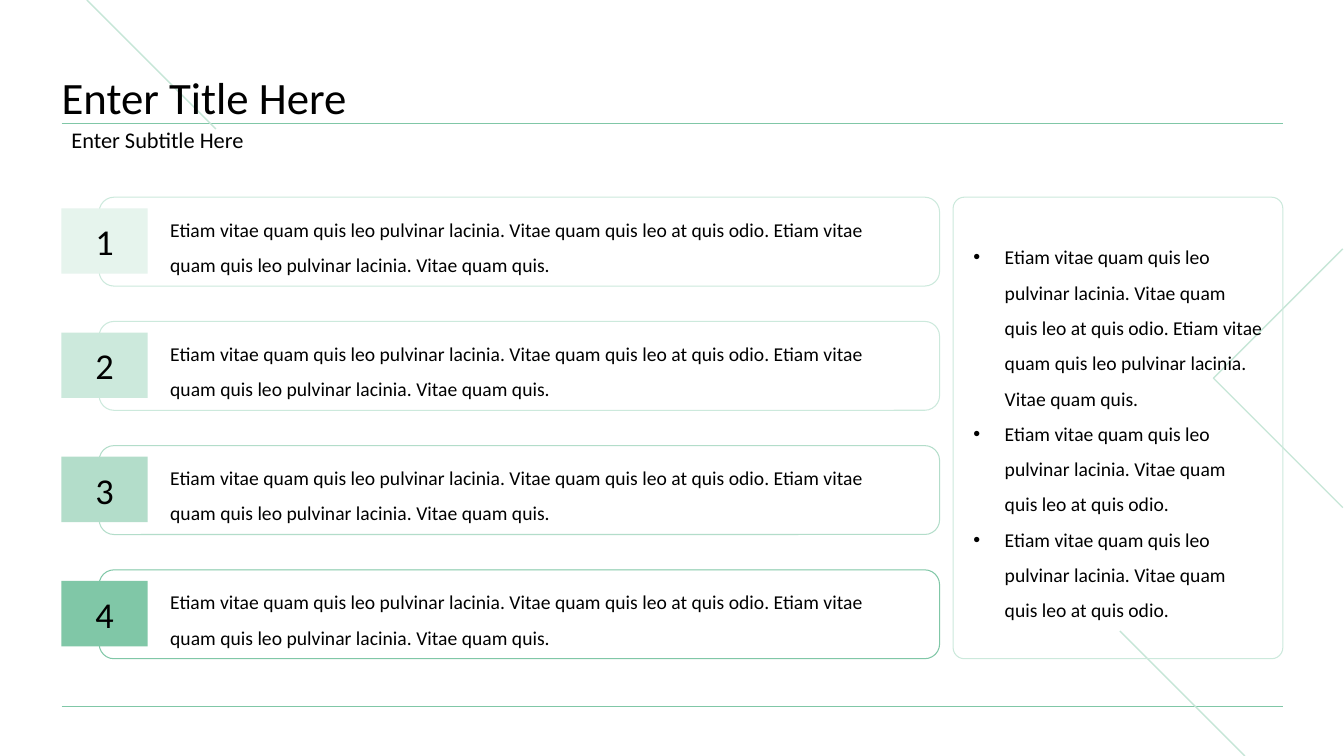
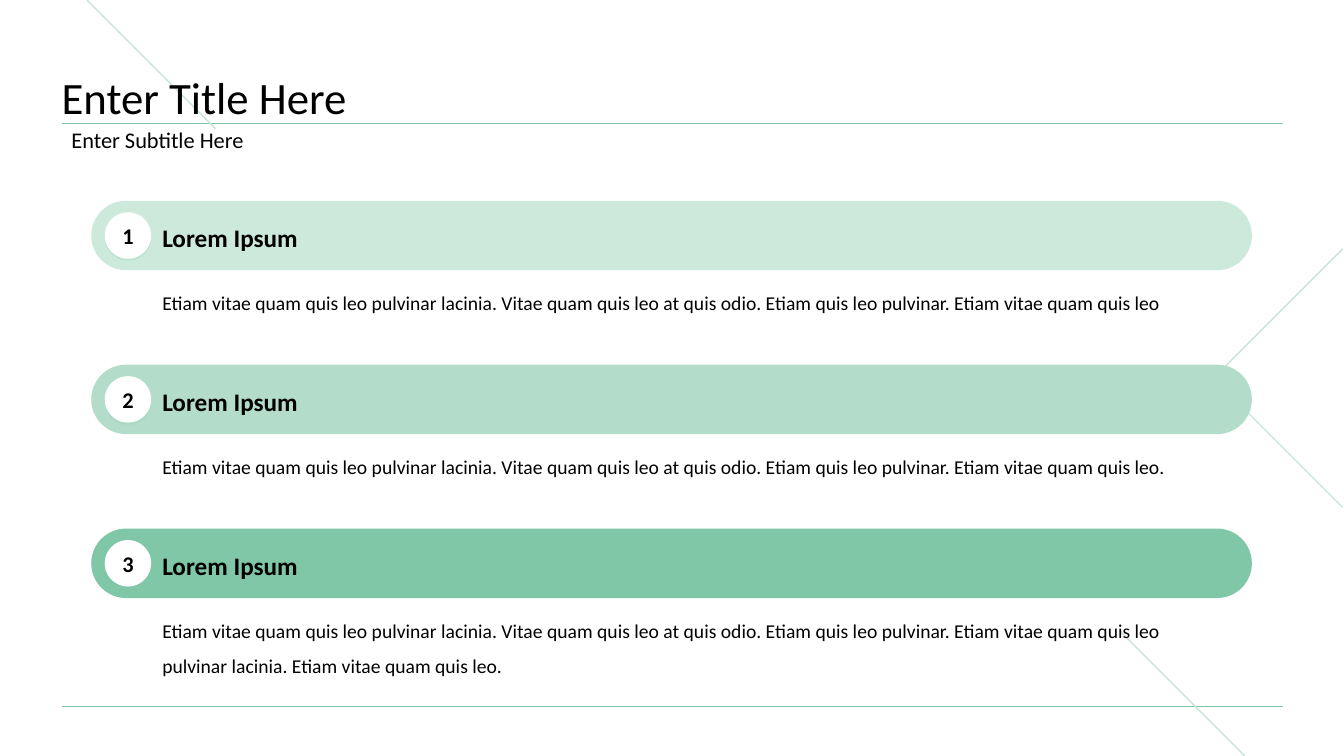
import lxml.etree
import pptx
import pptx.dml.color
import pptx.enum.shapes
import pptx.enum.text
import pptx.oxml.ns
import pptx.util

Cm = pptx.util.Cm
Pt = pptx.util.Pt
SHAPES = pptx.enum.shapes.MSO_SHAPE
ANCHOR = pptx.enum.text.MSO_ANCHOR
ALIGN = pptx.enum.text.PP_ALIGN
qn = pptx.oxml.ns.qn

FONT = "Calibri"
COLORS = {
    "text": "000000",
    "white": "FFFFFF",
    "mist": "E6F4ED",
    "pale": "CCE9DC",
    "soft": "B3DDCA",
    "strong": "80C7A7",
    "accent": "C6E6D7",
}

# Shared page frame, in centimetres
PAGE_WIDTH, PAGE_HEIGHT = 33.87, 19.05
MARGIN = 1.55
CONTENT_WIDTH = 30.78
CONTENT_RIGHT = MARGIN + CONTENT_WIDTH
TITLE_RULE, FOOTER_RULE = 3.12, 17.8

SHORT_POINT = "Etiam vitae quam quis leo pulvinar lacinia. Vitae quam quis leo at quis odio."
LONG_POINT = SHORT_POINT + (
    " Etiam vitae quam quis leo pulvinar lacinia. Vitae quam quis.")
DETAIL = SHORT_POINT + " Etiam quis leo pulvinar. Etiam vitae quam quis leo"


def color(name):
    return pptx.dml.color.RGBColor.from_string(COLORS[name])


def box(left, top, width, height):
    return Cm(left), Cm(top), Cm(width), Cm(height)


def place(placeholder, *area):
    (placeholder.left, placeholder.top,
     placeholder.width, placeholder.height) = box(*area)


def write(shape, paragraphs, size, bold=False, align=ALIGN.LEFT,
          anchor=ANCHOR.MIDDLE, spacing=1.0, before=0, insets=(0.25, 0.13)):
    frame = shape.text_frame
    frame.text = "\n".join(paragraphs)
    frame.word_wrap = True
    frame.auto_size = pptx.enum.text.MSO_AUTO_SIZE.NONE
    frame.vertical_anchor = anchor
    frame.margin_left = frame.margin_right = Cm(insets[0])
    frame.margin_top = frame.margin_bottom = Cm(insets[1])
    for paragraph in frame.paragraphs:
        paragraph.alignment = align
        paragraph.line_spacing = spacing
        paragraph.space_before = Pt(before)
        for run in paragraph.runs:
            run.font.name = FONT
            run.font.size = Pt(size)
            run.font.bold = bold
            run.font.color.rgb = color("text")


def indent(shape, left, first, bulleted):
    for paragraph in shape.text_frame.paragraphs:
        properties = paragraph._p.get_or_add_pPr()
        properties.set("marL", str(Cm(left)))
        properties.set("indent", str(Cm(first)))
        if not bulleted:
            lxml.etree.SubElement(properties, qn("a:buNone"))


def add_text(slide, area, text, size, **style):
    label = slide.shapes.add_textbox(*box(*area))
    write(label, [text], size, **style)


def paint(shape, fill=None, line=None, weight=0.75):
    if fill:
        shape.fill.solid()
        shape.fill.fore_color.rgb = color(fill)
    else:
        shape.fill.background()
    if line:
        shape.line.color.rgb = color(line)
        shape.line.width = Pt(weight)
    else:
        shape.line.fill.background()
    shape.shadow.inherit = False


def add_block(slide, kind, area, fill=None, line=None, rounding=None):
    block = slide.shapes.add_shape(kind, *box(*area))
    if rounding is not None:
        block.adjustments[0] = rounding
    paint(block, fill, line)
    return block


def add_rule(slide, start, end, line, weight):
    rule = slide.shapes.add_connector(
        pptx.enum.shapes.MSO_CONNECTOR.STRAIGHT,
        *(Cm(value) for value in start + end))
    rule.line.color.rgb = color(line)
    rule.line.width = Pt(weight)
    lxml.etree.SubElement(rule._element.spPr, qn("a:effectLst"))
    return rule


def add_drop_shadow(shape):
    effects = shape._element.spPr.find(qn("a:effectLst"))
    shadow = lxml.etree.SubElement(
        effects, qn("a:outerShdw"), blurRad="0", dist=str(Pt(1.5)),
        dir="5400000", algn="t", rotWithShape="0")
    tint = lxml.etree.SubElement(shadow, qn("a:srgbClr"), val=COLORS["strong"])
    lxml.etree.SubElement(tint, qn("a:alpha"), val="20000")


def add_chevron(slide, tip_x, tip_y, reach):
    builder = slide.shapes.build_freeform(
        Cm(tip_x + reach), Cm(tip_y - reach))
    builder.add_line_segments(
        [(Cm(tip_x), Cm(tip_y)), (Cm(tip_x + reach), Cm(tip_y + reach))],
        close=False)
    chevron = builder.convert_to_shape()
    paint(chevron, line="accent", weight=1)
    return chevron


def decorate_master(prs, slide):
    """Draw the rules and diagonals, then move them to the master."""
    decorations = [
        add_rule(slide, (MARGIN, y), (CONTENT_RIGHT, y), "strong", 0.5)
        for y in (FOOTER_RULE, TITLE_RULE)]
    for x, y, length in ((28.22, 15.9, 3.15), (2.19, 0, 3.25)):
        decorations.append(add_rule(
            slide, (x, y), (x + length, y + length), "accent", 1))
    decorations.append(add_chevron(slide, 30.58, 9.53, 3.26))
    for number, decoration in enumerate(decorations, start=100):
        decoration._element.xpath(".//p:cNvPr")[0].set("id", str(number))
        prs.slide_master.shapes.element.append(decoration._element)


def add_page(prs, layout_name):
    slide = prs.slides.add_slide(prs.slide_layouts.get_by_name(layout_name))
    title, subtitle = slide.shapes.title, slide.placeholders[1]
    place(title, MARGIN, 1.11, CONTENT_WIDTH, 2.02)
    write(title, ["Enter Title Here"], 32, anchor=ANCHOR.BOTTOM,
          spacing=0.9, insets=(0, 0))
    place(subtitle, MARGIN, 3.13, CONTENT_WIDTH, 0.87)
    write(subtitle, ["Enter Subtitle Here"], 16, spacing=0.9, before=10)
    indent(subtitle, 0, 0, bulleted=False)
    return slide


def add_numbered_card(slide, number, top, fill, outline):
    add_block(slide, SHAPES.ROUNDED_RECTANGLE, (2.5, top, 21.18, 2.24),
              line=outline)
    add_text(slide, (4.04, top + 0.28, 18.59, 1.65), LONG_POINT, 14,
             spacing=1.5)
    tile = add_block(slide, SHAPES.RECTANGLE,
                     (MARGIN, top + 0.28, 2.17, 1.65), fill=fill)
    write(tile, [str(number)], 26, align=ALIGN.CENTER, insets=(0.25, 0.25))


def add_side_panel(slide, top):
    add_block(slide, SHAPES.ROUNDED_RECTANGLE, (24.02, top, 8.31, 11.63),
              line="pale", rounding=0.034)
    points = slide.placeholders[2]
    place(points, 24.28, top + 0.28, 7.8, 11.05)
    write(points, [LONG_POINT, SHORT_POINT, SHORT_POINT], 14, spacing=1.5)
    indent(points, 0.79, -0.79, bulleted=True)


def add_section(slide, number, top, fill, detail):
    add_block(slide, SHAPES.ROUNDED_RECTANGLE, (2.3, top, 29.25, 1.75),
              fill=fill, rounding=0.5)
    add_text(slide, (3.84, top + 1.84, 27.36, 1.09), detail, 14,
             anchor=ANCHOR.TOP, spacing=1.5)
    badge = add_block(slide, SHAPES.OVAL, (2.64, top + 0.29, 1.17, 1.17),
                      fill="white")
    add_drop_shadow(badge)
    write(badge, [str(number)], 16, bold=True, align=ALIGN.CENTER,
          insets=(0.25, 0.25))
    add_text(slide, (3.84, top + 0.25, 21.54, 1.22), "Lorem Ipsum", 18,
             bold=True, spacing=1.15, insets=(0.25, 0.25))


def main():
    prs = pptx.Presentation()
    prs.slide_width, prs.slide_height = Cm(PAGE_WIDTH), Cm(PAGE_HEIGHT)

    # Numbered cards beside a list
    cards = add_page(prs, "Two Content")
    decorate_master(prs, cards)
    first_card, card_step = 4.97, 3.13
    card_colors = (("mist", "pale"), ("pale", "pale"),
                   ("soft", "soft"), ("strong", "strong"))
    for index, (fill, outline) in enumerate(card_colors):
        add_numbered_card(cards, index + 1, first_card + index * card_step,
                          fill, outline)
    add_side_panel(cards, first_card)

    # Sections under coloured bars
    sections = add_page(prs, "Title and Content")
    first_bar, bar_step = 5.06, 4.13
    details = (("pale", DETAIL), ("soft", DETAIL + "."),
               ("strong", DETAIL + " pulvinar lacinia."
                " Etiam vitae quam quis leo."))
    for index, (fill, detail) in enumerate(details):
        add_section(sections, index + 1, first_bar + index * bar_step,
                    fill, detail)

    prs.save("out.pptx")


main()
